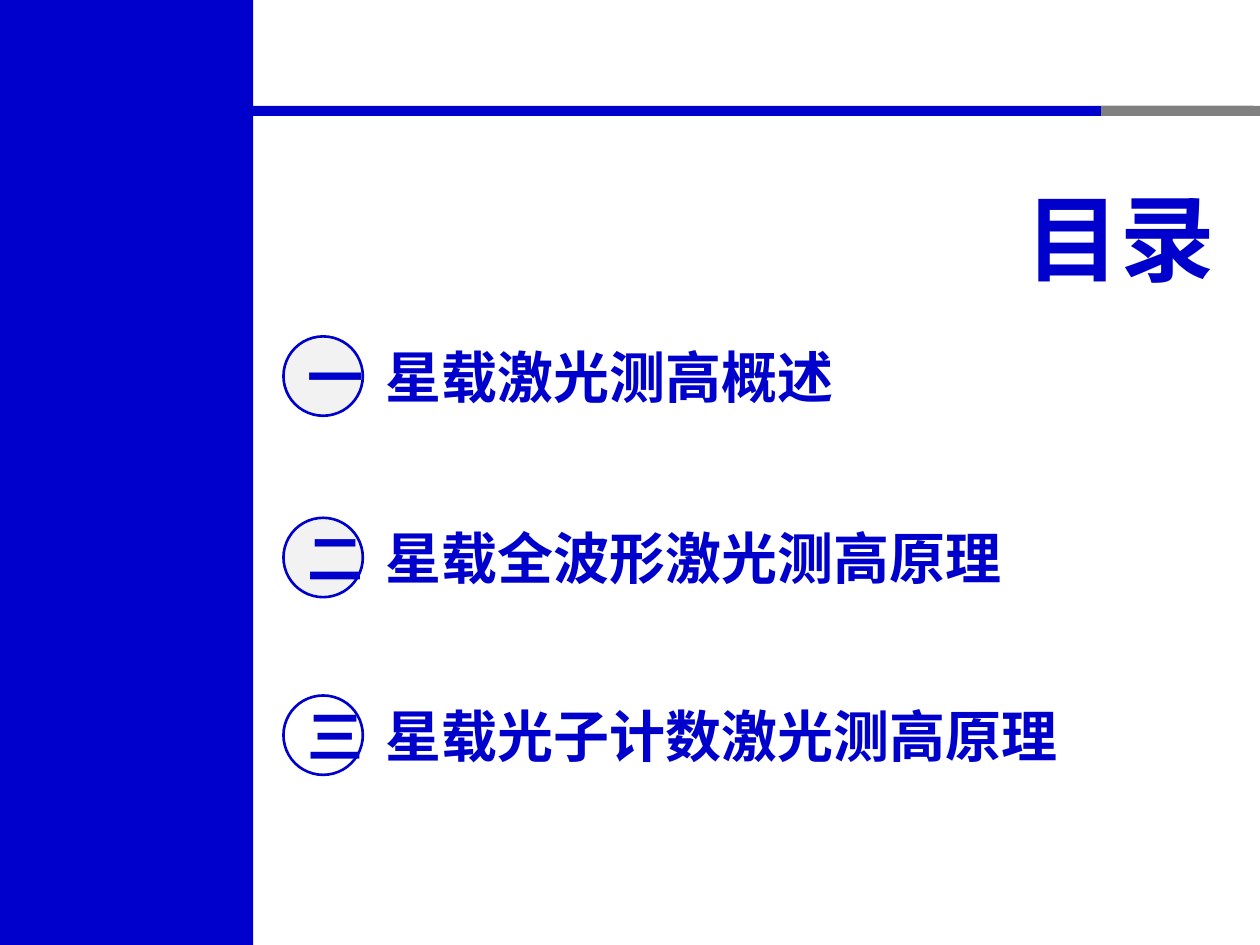
from dataclasses import dataclass

from lxml.etree import SubElement
from pptx import Presentation
from pptx.dml.color import RGBColor
from pptx.enum.shapes import MSO_SHAPE
from pptx.enum.text import MSO_ANCHOR, PP_ALIGN
from pptx.oxml.ns import qn
from pptx.util import Inches, Pt


@dataclass(frozen=True)
class Theme:
    blue: RGBColor = RGBColor(0x00, 0x00, 0xCC)
    gray: RGBColor = RGBColor(0x80, 0x80, 0x80)
    pale: RGBColor = RGBColor(0xF2, 0xF2, 0xF2)
    white: RGBColor = RGBColor(0xFF, 0xFF, 0xFF)
    latin_font: str = "Arial"
    chinese_font: str = "Noto Sans CJK SC"
    title_size: int = 54
    item_size: int = 32


class PageBuilder:
    def __init__(self, page, theme):
        self.page = page
        self.theme = theme

    def fill_text(self, frame, text, size, font, align):
        para = frame.paragraphs[0]
        para.text = text
        para.alignment = align
        para.font.name = font
        para.font.size = Pt(size)
        para.font.bold = True
        para.font.color.rgb = self.theme.blue
        # Chinese glyphs take their typeface from the East Asian slot
        defaults = para._p.pPr.find(qn("a:defRPr"))
        SubElement(defaults, qn("a:ea"), typeface=self.theme.chinese_font)

    def shape(self, kind, left, top, width, height, fill):
        shape = self.page.shapes.add_shape(
            kind, Inches(left), Inches(top), Inches(width), Inches(height))
        shape.shadow.inherit = False
        shape.fill.solid()
        shape.fill.fore_color.rgb = fill
        return shape

    def bar(self, left, top, width, height, fill):
        bar = self.shape(MSO_SHAPE.RECTANGLE, left, top, width, height, fill)
        bar.line.fill.background()

    def badge(self, left, top, size, numeral, fill):
        badge = self.shape(MSO_SHAPE.OVAL, left, top, size, size, fill)
        badge.line.color.rgb = self.theme.blue
        badge.line.width = Pt(1.5)
        badge.text_frame.vertical_anchor = MSO_ANCHOR.MIDDLE
        self.fill_text(badge.text_frame, numeral, self.theme.item_size,
                       self.theme.chinese_font, PP_ALIGN.CENTER)

    def text(self, left, top, width, height, text, size,
             align=PP_ALIGN.LEFT, anchor=MSO_ANCHOR.MIDDLE, wrap=True):
        box = self.page.shapes.add_textbox(
            Inches(left), Inches(top), Inches(width), Inches(height))
        box.text_frame.word_wrap = wrap
        box.text_frame.vertical_anchor = anchor
        self.fill_text(box.text_frame, text, size, self.theme.latin_font, align)


def main():
    deck = Presentation()
    deck.slide_width, deck.slide_height = Inches(10), Inches(7.5)
    page = deck.slides.add_slide(deck.slide_layouts[6])
    theme = Theme()
    builder = PageBuilder(page, theme)

    # Header rule and side panel
    builder.bar(0, 0.84, 9.95, 0.08, theme.blue)
    builder.bar(8.74, 0.84, 1.26, 0.08, theme.gray)
    builder.bar(0, 0, 2.01, 7.5, theme.blue)

    # Title
    builder.text(7.98, 1.38, 1.76, 1.01, "目录", theme.title_size,
                 PP_ALIGN.RIGHT, MSO_ANCHOR.TOP, wrap=False)

    # Contents: numeral, label, badge top, label height, badge fill
    badge_size = 0.63
    items = [
        ("一", "星载激光测高概述", 2.67, 0.64, theme.pale),
        ("二", "星载全波形激光测高原理", 4.11, 1.18, theme.pale),
        ("三", "星载光子计数激光测高原理", 5.52, 0.64, theme.white),
    ]
    for numeral, label, top, height, fill in items:
        builder.badge(2.25, top, badge_size, numeral, fill)
        label_top = top + (badge_size - height) / 2
        builder.text(2.96, label_top, 5.75, height, label, theme.item_size)

    deck.save("out.pptx")


if __name__ == "__main__":
    main()
